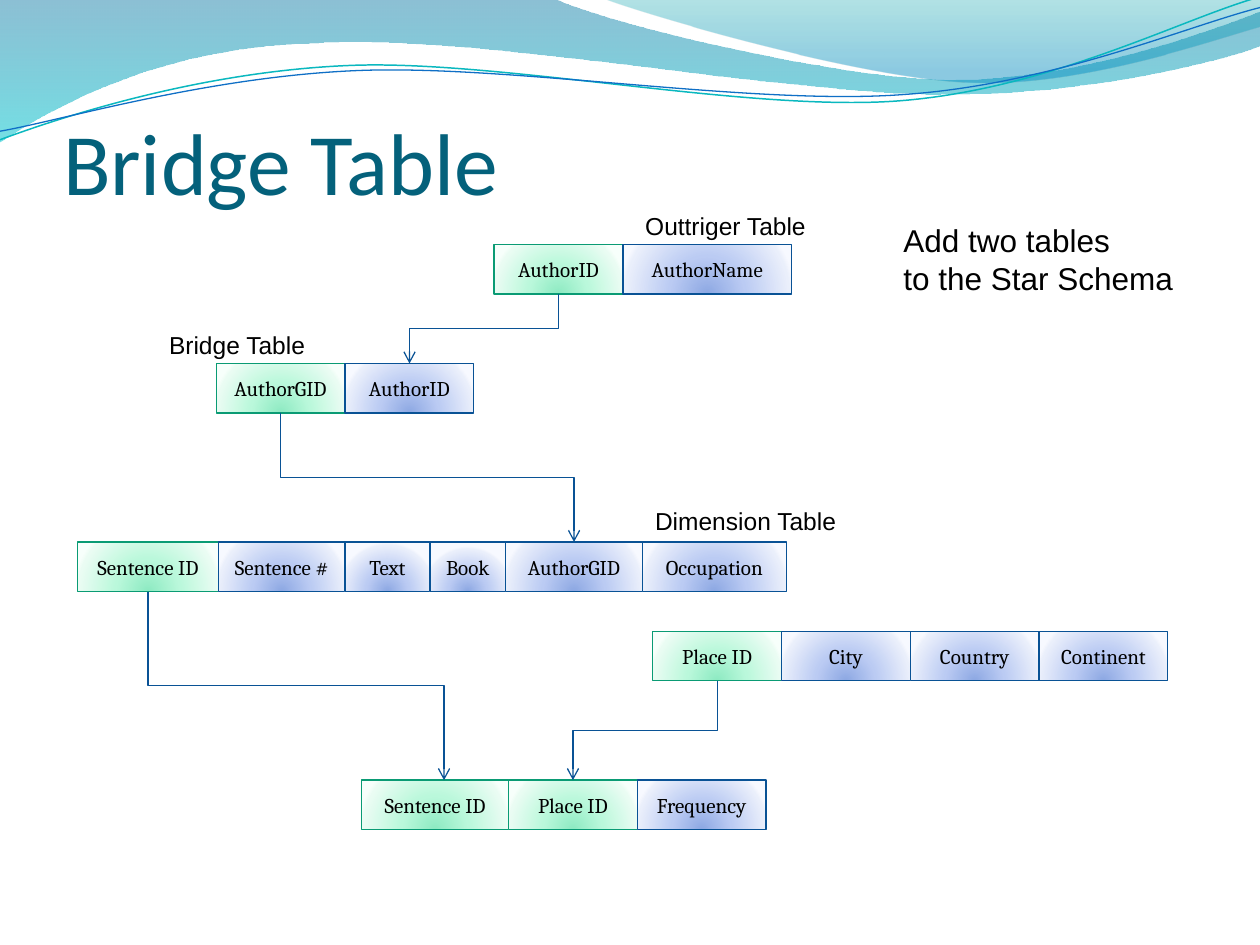
from pptx import Presentation
from pptx.dml.color import RGBColor
from pptx.enum.shapes import MSO_CONNECTOR, MSO_SHAPE
from pptx.enum.text import MSO_ANCHOR, MSO_AUTO_SIZE, PP_ALIGN
from pptx.oxml import parse_xml
from pptx.oxml.ns import nsdecls, qn
from pptx.util import Pt

RECTANGLE, ELBOW = MSO_SHAPE.RECTANGLE, MSO_CONNECTOR.ELBOW
LEFT, CENTER = PP_ALIGN.LEFT, PP_ALIGN.CENTER
MIDDLE, BOTTOM, TOP = MSO_ANCHOR.MIDDLE, MSO_ANCHOR.BOTTOM, MSO_ANCHOR.TOP
FIXED, GROW = MSO_AUTO_SIZE.NONE, MSO_AUTO_SIZE.SHAPE_TO_FIT_TEXT

THEME = {
    "title": ({"name": "Calibri", "size": Pt(50), "bold": False}, "04617B"),
    "cell": ({"name": "Cambria", "size": Pt(12)}, "000000"),
    "label": ({"name": "Arial", "size": Pt(14)}, "000000"),
    "note": ({"name": "Arial", "size": Pt(18)}, "000000"),
    # Stops are position, colour, opacity
    "key": {"line": "0A9B74",
            "stops": [(0, "8DEAC2", 100), (43, "BAF8DB", 100), (93, "EAFCF3", 100), (100, "F7FFFB", 100)]},
    "field": {"line": "095295",
              "stops": [(0, "8DA8E3", 100), (43, "BBCBF3", 100), (93, "EAEFFB", 100), (100, "F7F9FF", 100)]},
    "wide wave": [(0, "0074A1", 45), (100, "00C6CF", 55)],
    "short wave": [(0, "00A1A9", 30), (80, "008BBF", 45)],
    "teal line": "0AB8BF",
    "blue line": "0F6FC6",
    "connector": "095295",
}
RADIAL = '<a:path path="circle"><a:fillToRect l="50000" t="130000" r="50000" b="-30000"/></a:path>'
DOWNWARD = '<a:lin ang="5400000" scaled="1"/>'


def fill_gradient(shape, stops, direction):
    shape.fill.background()
    stop_xml = "".join(
        f'<a:gs pos="{position * 1000}"><a:srgbClr val="{color}"><a:alpha val="{opacity * 1000}"/></a:srgbClr></a:gs>'
        for position, color, opacity in stops)
    properties = shape._element.spPr
    properties.replace(properties.find(qn("a:noFill")), parse_xml(
        f'<a:gradFill {nsdecls("a")} rotWithShape="1"><a:gsLst>{stop_xml}</a:gsLst>{direction}</a:gradFill>'))


def write_text(shape, text, style, alignment, **frame_format):
    frame = shape.text_frame
    for name, value in frame_format.items():
        setattr(frame, name, value)
    font_format, color = THEME[style]
    frame.text = text
    for para in frame.paragraphs:
        para.alignment = alignment
        for span in para.runs:
            for name, value in font_format.items():
                setattr(span.font, name, value)
            span.font.color.rgb = RGBColor.from_string(color)


deck = Presentation()
deck.slide_width, deck.slide_height = Pt(720), Pt(540)
page = deck.slides.add_slide(deck.slide_layouts[5])

# Header waves: two numbers make a straight segment, six a Bezier curve
waves = [
    ("wide wave", None, (0, 0), [
        (316.8, -0.7), (342.7, 12.2, 478.1, 45.4, 545.8, 45.4), (614.2, 45.4, 689.8, 18.7, 720, 6.5),
        (720.7, 25.9), (707.8, 31.7, 626.4, 54.7, 537.1, 54), (447.8, 54, 275, 20.2, 185, 24.5),
        (92.9, 25.9, 33.1, 59.8, -0.7, 81.4)]),
    ("short wave", None, (344.9, -0.7), [
        (366.5, 7.9, 491, 44.6, 553.7, 46.8), (616.3, 49.7, 691.9, 23, 720, 15.1), (720, 0)]),
    ("teal line", 0.85, (-1.4, 62.9), [
        (33.8, 51.7, 114.1, 29.4, 199.8, 29.9), (284.8, 30.3, 425.8, 67.3, 512.4, 64.9),
        (599, 62.4, 676.5, 25.7, 720.2, 15.6)]),
    ("blue line", 0.75, (-1.1, 58), [
        (32.9, 53.8, 118.3, 32.5, 204.1, 33), (290.6, 33.4, 428.9, 63.8, 515.5, 61.4),
        (601.4, 59.6, 678.4, 30.1, 721.4, 21.3)]),
]
for paint, line_width, start, segments in waves:
    outline = page.shapes.build_freeform(*map(Pt, start))
    for segment in segments:
        lengths = [Pt(value) for value in segment]
        outline.add_line_segments(list(zip(lengths[::2], lengths[1::2])), close=False)
    if line_width is None:
        outline.add_line_segments([], close=True)
    wave = outline.convert_to_shape()
    # Join each three steps of a curve into one Bezier segment
    steps = iter(list(wave._element.iter(qn("a:lnTo"))))
    for segment in segments:
        group = [next(steps) for _ in range(len(segment) // 2)]
        if len(group) == 3:
            curve = parse_xml(f'<a:cubicBezTo {nsdecls("a")}/>')
            group[0].addprevious(curve)
            for step in group:
                curve.append(step[0])
                step.getparent().remove(step)
    wave.shadow.inherit = False
    if line_width is None:
        fill_gradient(wave, THEME[paint], DOWNWARD)
        wave.line.fill.background()
    else:
        wave.fill.background()
        wave.line.color.rgb = RGBColor.from_string(THEME[paint])
        wave.line.width = Pt(line_width)
        wave.rotation = 357.3

# Table rows: left, top, number of key cells, cells with their widths
ROW_HEIGHT, CELL = 28.3, 73.6
tables = {
    "place": (373, 360.8, 1, [("Place ID", CELL), ("City", CELL), ("Country", CELL), ("Continent", CELL)]),
    "fact": (206.8, 445.8, 2, [("Sentence ID", 83.8), ("Place ID", CELL), ("Frequency", CELL)]),
    "bridge": (123.6, 207.7, 1, [("AuthorGID", CELL), ("AuthorID", CELL)]),
    "outrigger": (282.4, 139.8, 1, [("AuthorID", CELL), ("AuthorName", 96.3)]),
    "sentence": (44.3, 309.7, 1, [("Sentence ID", 80.6), ("Sentence #", 72.2), ("Text", 48.6),
                                  ("Book", 43.2), ("AuthorGID", 78.2), ("Occupation", 82.3)]),
}
boxes = {}
for table, (left, top, key_count, cells) in tables.items():
    for index, (text, width) in enumerate(cells):
        look = THEME["key" if index < key_count else "field"]
        box = page.shapes.add_shape(RECTANGLE, Pt(left), Pt(top), Pt(width), Pt(ROW_HEIGHT))
        fill_gradient(box, look["stops"], RADIAL)
        box.line.color.rgb = RGBColor.from_string(look["line"])
        box.line.width = Pt(0.75)
        box.shadow.inherit = False
        write_text(box, text, "cell", CENTER, vertical_anchor=MIDDLE, word_wrap=True)
        boxes[table, text] = box
        left += width

# Key links, from the bottom of one cell to the top of another, with a sideways shift
links = [
    (("outrigger", "AuthorID"), ("bridge", "AuthorID"), 0),
    (("bridge", "AuthorGID"), ("sentence", "AuthorGID"), 0),
    (("sentence", "Sentence ID"), ("fact", "Sentence ID"), 5),
    (("place", "Place ID"), ("fact", "Place ID"), 0),
]
for source, target, shift in links:
    upper, lower = boxes[source], boxes[target]
    x1, y1 = upper.left + upper.width // 2, upper.top + upper.height
    x2, y2 = lower.left + lower.width // 2 + Pt(shift), lower.top
    link = page.shapes.add_connector(ELBOW, x1, y1, x2, y2)
    link.begin_connect(upper, 2)
    if not shift:
        link.end_connect(lower, 0)
    # A quarter turn makes the elbow leave and arrive vertically
    run, drop = abs(x2 - x1), y2 - y1
    link.left, link.top = (x1 + x2 - drop) // 2, (y1 + y2 - run) // 2
    link.width, link.height = drop, run
    rightward = x2 > x1
    frame = link._element.spPr.find(qn("a:xfrm"))
    for name, value in {"rot": "16200000" if rightward else "5400000",
                        "flipH": "1" if rightward else "0", "flipV": "0"}.items():
        frame.set(name, value)
    link.line.color.rgb = RGBColor.from_string(THEME["connector"])
    link.line.width = Pt(0.75)
    link.line._get_or_add_ln().append(parse_xml(f'<a:tailEnd {nsdecls("a")} type="arrow"/>'))
    link._element.spPr.append(parse_xml(f'<a:effectLst {nsdecls("a")}/>'))

# Table labels and the note
labels = [
    ("Dimension Table", "label", 367.2, 285.5, 118.8, 24.5),
    ("Bridge Table", "label", 89.5, 185.2, 92.9, 24.5),
    ("Outtriger Table", "label", 361.6, 117, 106.6, 24.5),
    ("Add two tables\nto the Star Schema", "note", 509.2, 122.6, 169.9, 51.1),
]
for text, style, *place in labels:
    label = page.shapes.add_textbox(*map(Pt, place))
    write_text(label, text, style, LEFT, word_wrap=False, auto_size=GROW, vertical_anchor=TOP)

# Title, in front of everything else
title = page.shapes.title
title.left, title.top, title.width, title.height = Pt(36), Pt(31.7), Pt(648), Pt(90)
write_text(title, "Bridge Table", "title", LEFT, vertical_anchor=BOTTOM, auto_size=FIXED, word_wrap=True,
           margin_left=0, margin_right=0, margin_top=Pt(3.6), margin_bottom=0)
page.shapes._spTree.append(title._element)

deck.save("out.pptx")
